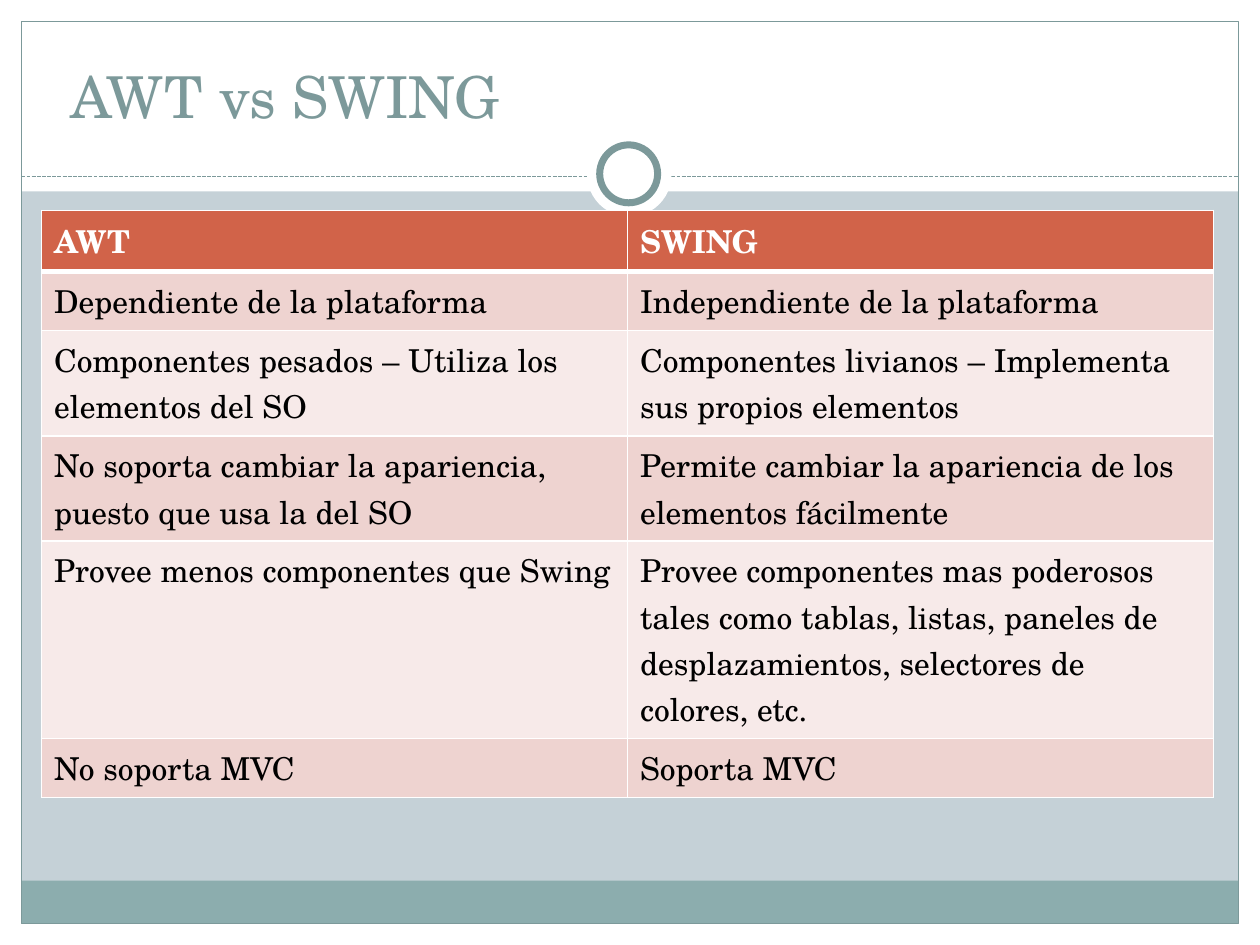
from lxml.etree import SubElement
from pptx import Presentation
from pptx.dml.color import RGBColor
from pptx.enum.dml import MSO_LINE_DASH_STYLE as DASH
from pptx.enum.shapes import MSO_CONNECTOR, MSO_SHAPE
from pptx.enum.text import MSO_ANCHOR, MSO_AUTO_SIZE, PP_ALIGN
from pptx.oxml.ns import qn
from pptx.util import Emu, Pt

EMU_PER_PX = 9144
WIDTH, HEIGHT = 1000, 750
FONT = "TeX Gyre Schola"
COLORS = {
    "background": "C5D1D7",
    "white": "FFFFFF",
    "black": "000000",
    "frame": "7C999A",
    "footer": "8CADAE",
    "header": "D16349",
    "odd_row": "EED3D0",
    "even_row": "F7EAE9",
}
ROWS = [
    ("AWT", "SWING"),
    ("Dependiente de la plataforma", "Independiente de la plataforma"),
    ("Componentes pesados – Utiliza los elementos del SO",
     "Componentes livianos – Implementa sus propios elementos"),
    ("No soporta cambiar la apariencia, puesto que usa la del SO",
     "Permite cambiar la apariencia de los elementos fácilmente"),
    ("Provee menos componentes que Swing",
     "Provee componentes mas poderosos tales como tablas, listas, paneles de "
     "desplazamientos, selectores de colores, etc."),
    ("No soporta MVC", "Soporta MVC"),
]


def px(*lengths):
    return [Emu(length * EMU_PER_PX) for length in lengths]


def color(name):
    return RGBColor.from_string(COLORS[name])


def write_text(text_frame, text, size=18, color_name="black", bold=False):
    paragraph = text_frame.paragraphs[0]
    paragraph.alignment = PP_ALIGN.LEFT
    run = paragraph.add_run()
    run.text = text
    run.font.name = FONT
    run.font.size = Pt(size)
    run.font.bold = bold
    run.font.color.rgb = color(color_name)


def add_panel(slide, box, fill=None, line_width=None, kind=MSO_SHAPE.RECTANGLE):
    shape = slide.shapes.add_shape(kind, *px(*box))
    shape.shadow.inherit = False
    if fill:
        shape.fill.solid()
        shape.fill.fore_color.rgb = color(fill)
    else:
        shape.fill.background()
    if line_width:
        shape.line.color.rgb = color("frame")
        shape.line.width = Pt(line_width)
    else:
        shape.line.fill.background()


def add_frame(slide, box, header_height=135, footer_height=34):
    left, top, width, height = box
    right, bottom = left + width, top + height
    margins = [
        (0, bottom, WIDTH, HEIGHT - bottom),
        (0, 0, WIDTH, top + header_height),
        (0, 0, left, HEIGHT),
        (right, 0, WIDTH - right, HEIGHT),
    ]
    for margin in margins:
        add_panel(slide, margin, fill="white")
    add_panel(slide, (left, bottom - footer_height, width, footer_height), fill="footer")
    add_panel(slide, box, line_width=0.75)


def add_divider(slide, left, top, width, ring_top=105, ring_size=67, inset=10):
    line = slide.shapes.add_connector(
        MSO_CONNECTOR.STRAIGHT, *px(left, top, left + width, top))
    line.line.color.rgb = color("frame")
    line.line.width = Pt(0.75)
    line.line.dash_style = DASH.SQUARE_DOT
    SubElement(line.element.spPr, qn("a:effectLst"))

    ring_left = left + (width - ring_size) // 2
    ring_inner = ring_size - 2 * inset - 1
    add_panel(slide, (ring_left, ring_top, ring_size, ring_size),
              fill="white", kind=MSO_SHAPE.OVAL)
    add_panel(slide, (ring_left + inset, ring_top + inset, ring_inner, ring_inner),
              fill="white", line_width=4, kind=MSO_SHAPE.OVAL)


def place_title(slide, box, text):
    title = slide.shapes.title
    title.element.getparent().append(title.element)
    title.left, title.top, title.width, title.height = px(*box)
    text_frame = title.text_frame
    text_frame.auto_size = MSO_AUTO_SIZE.NONE
    text_frame.vertical_anchor = MSO_ANCHOR.BOTTOM
    write_text(text_frame, text, size=33, color_name="frame")


def set_borders(cell, **widths):
    properties = cell._tc.get_or_add_tcPr()
    for side in "LRTB":
        line = SubElement(properties, qn(f"a:ln{side}"), w=str(Pt(widths.get(side, 1))))
        fill = SubElement(line, qn("a:solidFill"))
        SubElement(fill, qn("a:srgbClr"), val=COLORS["white"])


def add_comparison(slide, left, top, width, row_height):
    box = px(left, top, width, row_height * len(ROWS))
    table = slide.shapes.add_table(len(ROWS), len(ROWS[0]), *box).table
    table.horz_banding = False
    for row_index, texts in enumerate(ROWS):
        is_header = row_index == 0
        fill = "header" if is_header else "odd_row" if row_index % 2 else "even_row"
        for column_index, text in enumerate(texts):
            cell = table.cell(row_index, column_index)
            set_borders(cell, T=3 if row_index == 1 else 1, B=3 if is_header else 1)
            cell.fill.solid()
            cell.fill.fore_color.rgb = color(fill)
            write_text(cell.text_frame, text, bold=is_header,
                       color_name="white" if is_header else "black")


def main():
    presentation = Presentation()
    presentation.slide_width, presentation.slide_height = px(WIDTH, HEIGHT)
    slide = presentation.slides.add_slide(presentation.slide_layouts[5])
    slide.background.fill.solid()
    slide.background.fill.fore_color.rgb = color("background")
    add_frame(slide, (17, 17, 966, 716))
    add_divider(slide, 17, 140, 966)
    place_title(slide, (33, 25, 933, 83), " AWT vs SWING")
    add_comparison(slide, 33, 167, 930, 41)
    presentation.save("out.pptx")


if __name__ == "__main__":
    main()
